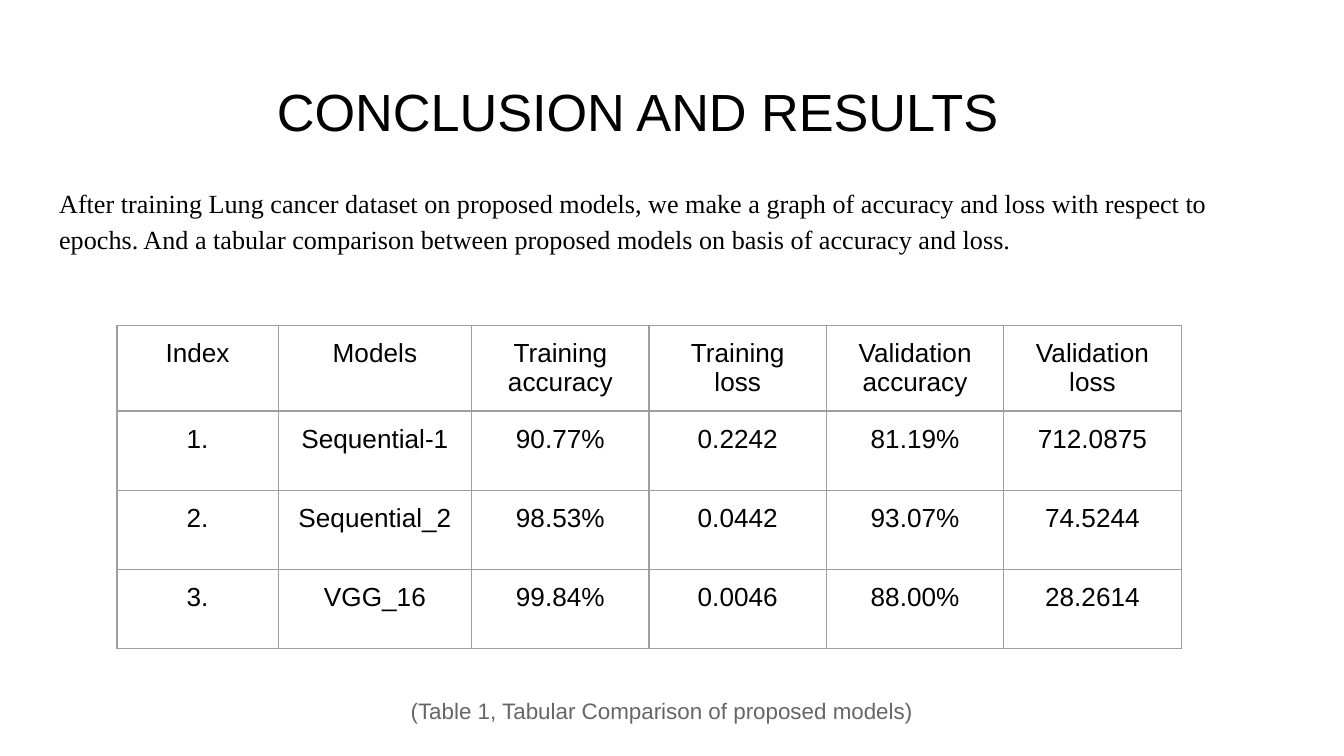
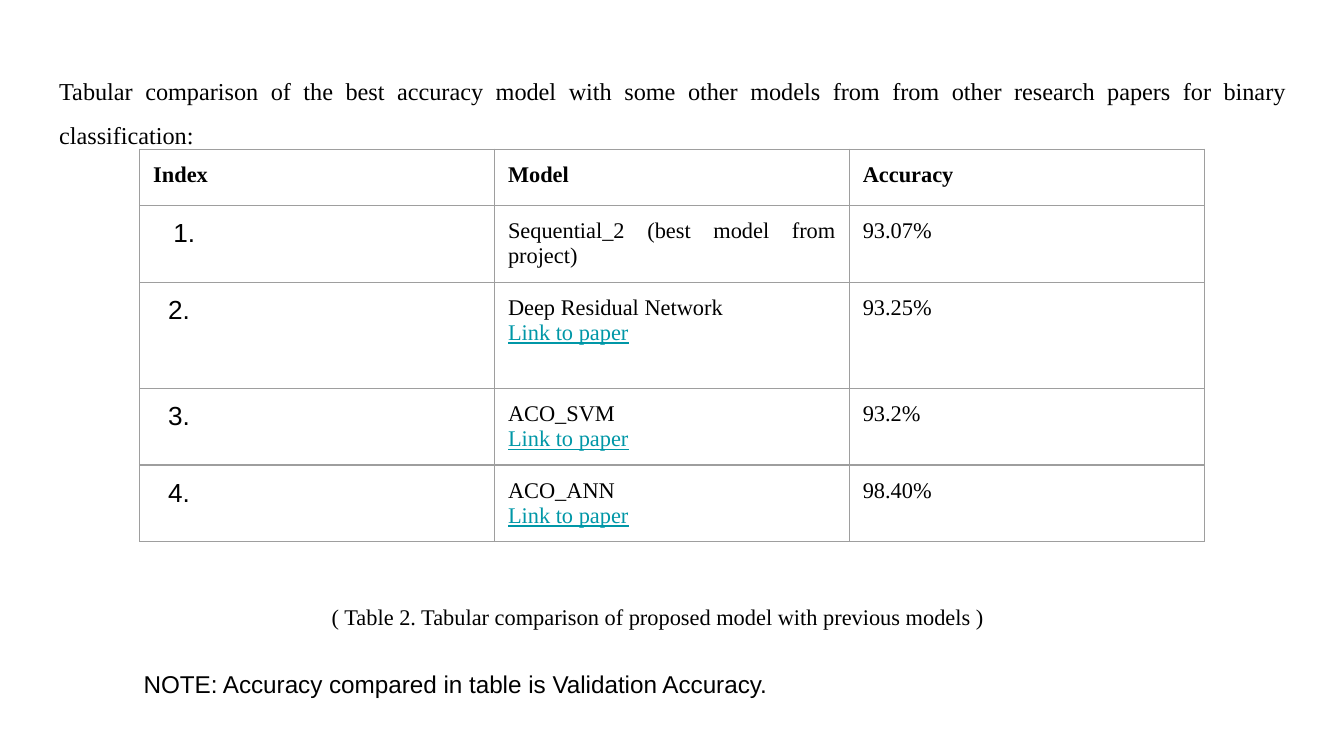
from dataclasses import dataclass

from lxml import etree
from pptx import Presentation
from pptx import util as u
from pptx.dml.color import RGBColor
from pptx.enum import text as t
from pptx.oxml import ns

# Shared look: 100 px to the inch
PX = 9144
SLIDE_WIDTH = 1000
INSET = 10
BLACK, GREY, TEAL, BORDER = "000000", "666666", "0097A7", "9E9E9E"
SANS, SERIF = "Arial", "Times New Roman"
LEFT, CENTER, JUSTIFY = t.PP_ALIGN.LEFT, t.PP_ALIGN.CENTER, t.PP_ALIGN.JUSTIFY


@dataclass(frozen=True)
class Box:
    left: int
    top: int
    width: int
    height: int

    def emu(self) -> list[int]:
        return [px(n) for n in (self.left, self.top, self.width, self.height)]


@dataclass(frozen=True)
class Cell:
    text: str
    size: int = 14
    font: str = SANS
    align: t.PP_ALIGN = CENTER
    bold: bool = False
    indent: int = 0
    hanging: int = 0
    numbered: bool = False
    link_label: str = ""


def px(length: int) -> int:
    return length * PX


def color(value: str) -> RGBColor:
    return RGBColor.from_string(value)


def write(frame, text: str, *, size: int, font: str = SANS, fill: str = BLACK,
          align=LEFT, bold: bool = False, underline: bool = False,
          spacing: float = 1.0, after: int = 0, indent: int = 0,
          hanging: int = 0, numbered: bool = False,
          append: bool = False) -> None:
    """Put each line of text in its own formatted paragraph."""
    for number, line in enumerate(text.split("\n")):
        new = append or number > 0
        para = frame.add_paragraph() if new else frame.paragraphs[0]
        para.alignment = align
        para.line_spacing = spacing
        para.space_before, para.space_after = u.Pt(0), u.Pt(after)
        props = para._p.get_or_add_pPr()
        props.set("marL", str(px(indent)))
        props.set("indent", str(px(-hanging)))
        if numbered:
            etree.SubElement(props, ns.qn("a:buAutoNum"), type="arabicPeriod")
        else:
            etree.SubElement(props, ns.qn("a:buNone"))
        span = para.add_run()
        span.text = line
        span.font.name, span.font.size = font, u.Pt(size)
        span.font.bold, span.font.underline = bold, underline
        span.font.color.rgb = color(fill)


def fill_box(shape, box: Box, text: str, **style) -> None:
    shape.left, shape.top, shape.width, shape.height = box.emu()
    frame = shape.text_frame
    frame.word_wrap = True
    frame.auto_size = t.MSO_AUTO_SIZE.NONE
    frame.vertical_anchor = t.MSO_ANCHOR.TOP
    frame.margin_left = frame.margin_right = px(INSET)
    frame.margin_top = frame.margin_bottom = px(INSET)
    write(frame, text, **style)


def add_text(page, box: Box, text: str, **style) -> None:
    fill_box(page.shapes.add_textbox(*box.emu()), box, text, **style)


def outline(cell) -> None:
    props = cell._tc.get_or_add_tcPr()
    for position, side in enumerate(("lnL", "lnR", "lnT", "lnB")):
        line = etree.Element(ns.qn(f"a:{side}"), w=str(u.Pt(0.75)))
        solid = etree.SubElement(line, ns.qn("a:solidFill"))
        etree.SubElement(solid, ns.qn("a:srgbClr"), val=BORDER)
        props.insert(position, line)


def add_grid(page, left: int, top: int, widths: list[int], heights: list[int],
             rows: list[list[Cell]]) -> None:
    box = Box(left, top, sum(widths), sum(heights))
    table = page.shapes.add_table(len(rows), len(widths), *box.emu()).table
    table.first_row = table.horz_banding = False
    for column, width in zip(table.columns, widths):
        column.width = px(width)
    for row, height in zip(table.rows, heights):
        row.height = px(height)
    for r, row in enumerate(rows):
        for c, item in enumerate(row):
            cell = table.cell(r, c)
            cell.fill.background()
            cell.margin_left = cell.margin_right = px(INSET)
            cell.margin_top = cell.margin_bottom = px(INSET)
            outline(cell)
            style = dict(size=item.size, font=item.font, align=item.align)
            write(cell.text_frame, item.text, bold=item.bold,
                  indent=item.indent, hanging=item.hanging,
                  numbered=item.numbered, **style)
            if item.link_label:
                write(cell.text_frame, item.link_label, fill=TEAL,
                      underline=True, append=True, **style)


# Slide 1: results of the proposed models
def results_slide(deck) -> None:
    page = deck.slides.add_slide(deck.slide_layouts[1])
    title, body = page.placeholders
    fill_box(title, Box(196, 49, 770, 63), "CONCLUSION AND RESULTS", size=28)
    fill_box(body, Box(34, 126, 932, 68),
             "After training Lung cancer dataset on proposed models, we make a "
             "graph of accuracy and loss with respect to epochs. And a tabular "
             "comparison between proposed models on basis of accuracy and loss.",
             size=14, font=SERIF, spacing=1.15, after=16)
    results = [
        ["Index", "Models", "Training accuracy", "Training\nloss",
         "Validation\naccuracy", "Validation loss"],
        ["1.", "Sequential-1", "90.77%", "0.2242", "81.19%", "712.0875"],
        ["2.", "Sequential_2", "98.53%", "0.0442", "93.07%", "74.5244"],
        ["3.", "VGG_16", "99.84%", "0.0046", "88.00%", "28.2614"],
    ]
    add_grid(page, 87, 242, [120, 144] + [132] * 4, [63] + [59] * 3,
             [[Cell(text) for text in row] for row in results])
    add_text(page, Box(75, 509, 835, 39),
             "(Table 1, Tabular Comparison of proposed models)",
             size=12, fill=GREY, align=CENTER)


# Slide 2: comparison with earlier models
def comparison_slide(deck) -> None:
    page = deck.slides.add_slide(deck.slide_layouts[1])
    title, body = page.placeholders
    title.element.getparent().remove(title.element)
    fill_box(body, Box(34, 36, 932, 71),
             "Tabular comparison of the best accuracy model with some other "
             "models from from other research papers for binary classification:",
             size=13, font=SERIF, align=JUSTIFY, spacing=1.5)

    def serif(text: str, bold: bool = False, link_label: str = "") -> Cell:
        return Cell(text, 12, SERIF, JUSTIFY, bold, link_label=link_label)

    rows = [[serif(text, bold=True) for text in ("Index", "Model", "Accuracy")]]
    link = "Link to paper"
    models = [
        ("Sequential_2 (best model from project)", "", "93.07%"),
        ("Deep Residual Network", link, "93.25%"),
        ("ACO_SVM", link, "93.2%"),
        ("ACO_ANN", link, "98.40%"),
    ]
    # The first index is a list number, the others are typed
    first = Cell(" ", align=LEFT, indent=50, hanging=35, numbered=True)
    for number, (model, label, accuracy) in enumerate(models, 1):
        typed = Cell(f"{number}.", align=LEFT, indent=11)
        rows.append([first if number == 1 else typed,
                     serif(model, link_label=label), serif(accuracy)])
    add_grid(page, 104, 111, [264] * 3, [42, 57, 79, 57, 57], rows)
    add_text(page, Box(97, 488, 806, 46),
             "NOTE: Accuracy compared in table is Validation Accuracy.", size=13)
    add_text(page, Box(237, 429, 527, 32),
             "( Table 2. Tabular comparison of proposed model with previous models )",
             size=12, font=SERIF, align=JUSTIFY, spacing=1.5)


def main() -> None:
    deck = Presentation()
    deck.slide_width = px(SLIDE_WIDTH)
    deck.slide_height = px(SLIDE_WIDTH) * 9 // 16
    results_slide(deck)
    comparison_slide(deck)
    deck.save("out.pptx")


if __name__ == "__main__":
    main()
